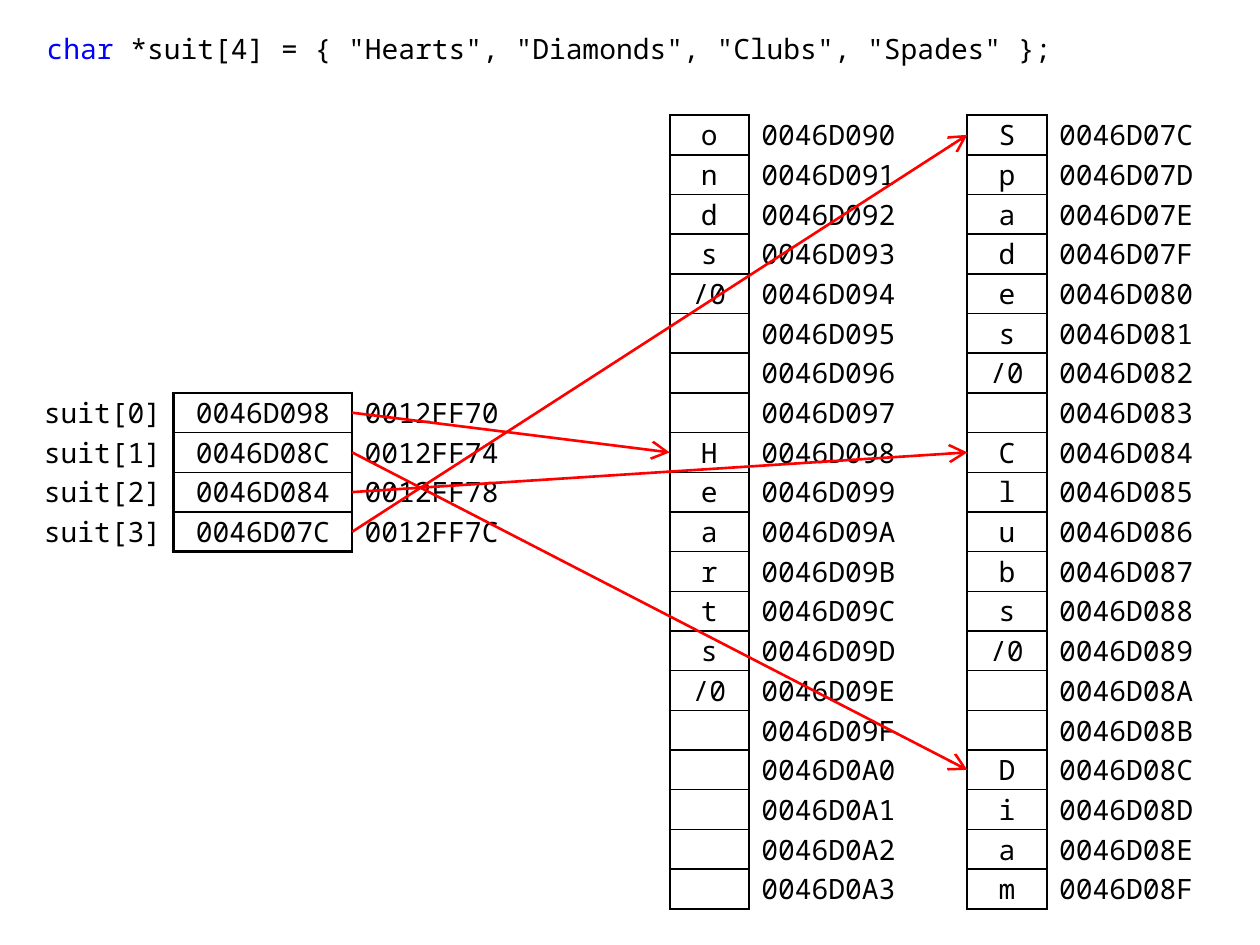
"""Build a slide showing how an array of C string pointers is laid out in memory."""
from lxml import etree
from pptx import Presentation
from pptx.dml.color import RGBColor
from pptx.enum.shapes import MSO_CONNECTOR
from pptx.enum.text import MSO_ANCHOR, PP_ALIGN
from pptx.oxml.ns import qn
from pptx.util import Cm, Pt

LEFT, CENTER, RIGHT = PP_ALIGN.LEFT, PP_ALIGN.CENTER, PP_ALIGN.RIGHT
MIDDLE = MSO_ANCHOR.MIDDLE
STRAIGHT = MSO_CONNECTOR.STRAIGHT

COLORS = {"text": "000000", "keyword": "0000FF", "arrow": "FF0000"}
FONT, FONT_SIZE = "Noto Sans Mono", Pt(16)
PLAIN_TABLE = "{2D5ABB26-0587-4C30-8999-92F81FD0307C}"

DECLARATION = [
    ("char", "keyword"),
    (' *suit[4] = { "Hearts", "Diamonds", "Clubs", "Spades" };', "text"),
]
POINTERS = [0x0046D098, 0x0046D08C, 0x0046D084, 0x0046D07C]
POINTER_BASE, POINTER_SIZE = 0x0012FF70, 4
MEMORY = [
    {"left": 13.5, "base": 0x0046D090,
     "bytes": [*"onds", "/0", "", "", "", *"Hearts", "/0", "", "", "", "", ""]},
    {"left": 19.5, "base": 0x0046D07C,
     "bytes": [*"Spades", "/0", "", *"Clubs", "/0", "", "", *"Diam"]},
]

GRID_TOP, ROW_HEIGHT = 2.32, 0.8
POINTER_LEFT, POINTER_FIRST_ROW = 0.7, 7
POINTER_WIDTHS = [2.8, 3.6, 3.2]
MEMORY_WIDTHS = [1.6, 3.6]
CELL_MARGIN, NARROW_MARGIN = 0.25, 0.1


def row_top(row):
    return GRID_TOP + row * ROW_HEIGHT


def row_middle(row):
    return row_top(row + 0.5)


def address(value):
    return f"{value:08X}"


def style_text(para, align=LEFT):
    para.alignment = align
    para.font.name = FONT
    para.font.size = FONT_SIZE


def add_border(cell, side, width):
    line = etree.SubElement(cell._tc.get_or_add_tcPr(), qn(f"a:ln{side}"), w=str(Pt(width)))
    fill = etree.SubElement(line, qn("a:solidFill"))
    etree.SubElement(fill, qn("a:srgbClr"), val=COLORS["text"])


def add_grid(page, left, first_row, widths, rows, aligns, boxed, outer_margin):
    frame = page.shapes.add_table(
        len(rows), len(widths), Cm(left), Cm(row_top(first_row)),
        Cm(sum(widths)), Cm(len(rows) * ROW_HEIGHT))
    table = frame.table
    table.first_row = table.horz_banding = False
    table._tbl.tblPr.find(qn("a:tableStyleId")).text = PLAIN_TABLE
    for column, width in zip(table.columns, widths):
        column.width = Cm(width)
    for r, row in enumerate(rows):
        table.rows[r].height = Cm(ROW_HEIGHT)
        for c, text in enumerate(row):
            cell = table.cell(r, c)
            cell.margin_top = cell.margin_bottom = 0
            cell.margin_left = Cm(outer_margin if c == 0 else CELL_MARGIN)
            cell.margin_right = Cm(outer_margin if c == len(row) - 1 else CELL_MARGIN)
            cell.vertical_anchor = MIDDLE
            if c == boxed:
                add_border(cell, "L", 1.5)
                add_border(cell, "R", 1.5)
                add_border(cell, "T", 1.5 if r == 0 else 1)
                add_border(cell, "B", 1.5 if r == len(rows) - 1 else 1)
            cell.fill.background()
            cell.text = text
            para = cell.text_frame.paragraphs[0]
            style_text(para, aligns[c])
            para.font.color.rgb = RGBColor.from_string(COLORS["text"])


def add_arrow(page, start, end):
    arrow = page.shapes.add_connector(STRAIGHT, *map(Cm, (*start, *end)))
    arrow.line.color.rgb = RGBColor.from_string(COLORS["arrow"])
    arrow.line.width = Pt(1.5)
    etree.SubElement(arrow.line._get_or_add_ln(), qn("a:tailEnd"),
                     type="arrow", w="lg", len="lg")
    etree.SubElement(arrow._element.spPr, qn("a:effectLst"))


def add_declaration(page):
    box = page.shapes.add_textbox(Cm(0.69), Cm(0.48), Cm(23.5), Cm(1))
    box.text_frame.word_wrap = True
    box.text_frame.vertical_anchor = MIDDLE
    para = box.text_frame.paragraphs[0]
    style_text(para)
    for text, color in DECLARATION:
        span = para.add_run()
        span.text = text
        span.font.color.rgb = RGBColor.from_string(COLORS[color])


def main():
    deck = Presentation()
    deck.slide_width, deck.slide_height = Cm(25.4), Cm(19.05)
    page = deck.slides.add_slide(deck.slide_layouts[6])
    add_declaration(page)

    pointer_rows = [
        (f"suit[{i}]", address(target), address(POINTER_BASE + i * POINTER_SIZE))
        for i, target in enumerate(POINTERS)]
    add_grid(page, POINTER_LEFT, POINTER_FIRST_ROW, POINTER_WIDTHS, pointer_rows,
             [RIGHT, CENTER, LEFT], boxed=1, outer_margin=NARROW_MARGIN)

    targets = {}
    for block in MEMORY:
        rows = [(byte, address(block["base"] + i)) for i, byte in enumerate(block["bytes"])]
        add_grid(page, block["left"], 0, MEMORY_WIDTHS, rows, [CENTER, LEFT],
                 boxed=0, outer_margin=CELL_MARGIN)
        for i in range(len(rows)):
            targets[block["base"] + i] = (block["left"], row_middle(i))

    arrow_left = POINTER_LEFT + sum(POINTER_WIDTHS[:2])
    for i, target in enumerate(POINTERS):
        add_arrow(page, (arrow_left, row_middle(POINTER_FIRST_ROW + i)), targets[target])

    deck.save("out.pptx")


if __name__ == "__main__":
    main()
